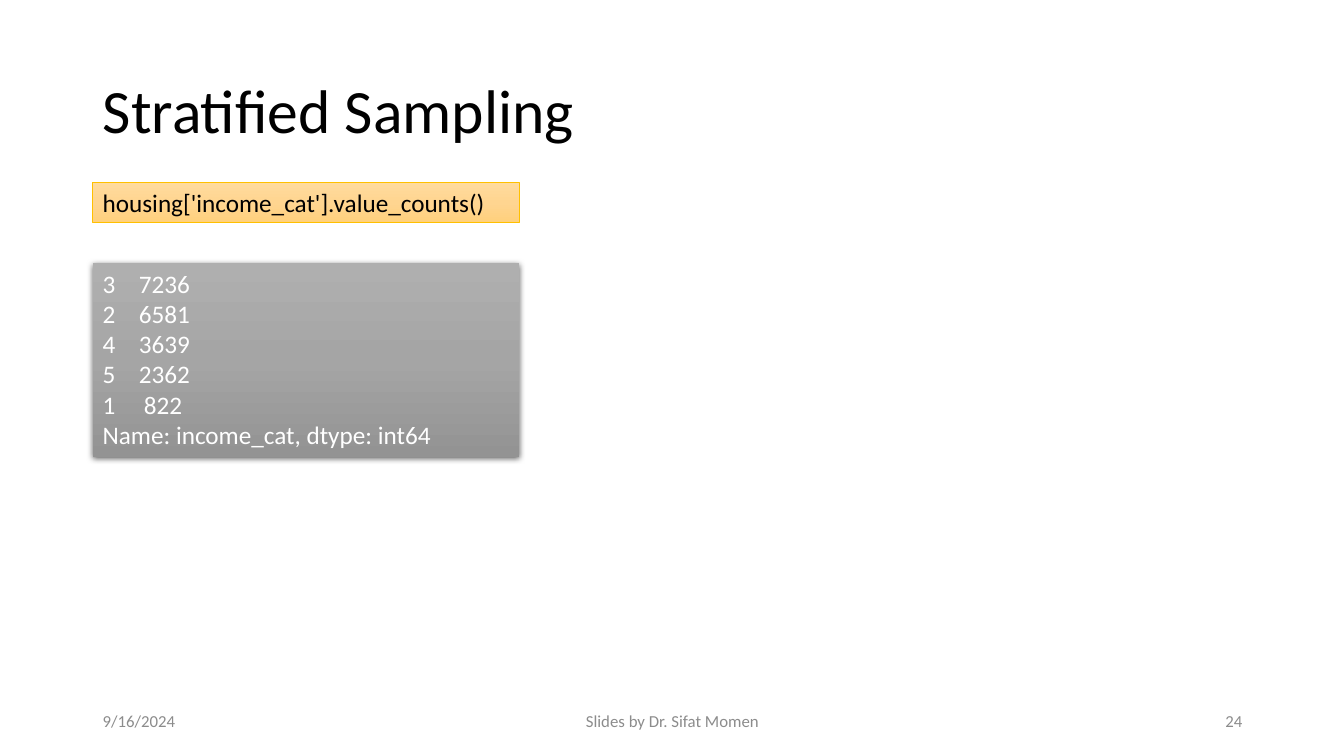
from lxml.etree import SubElement as Sub
from pptx import Presentation
from pptx.dml.color import RGBColor as RGB
from pptx.enum.shapes import MSO_SHAPE as Kind
from pptx.enum.text import MSO_ANCHOR as Anchor, MSO_AUTO_SIZE as Fit, PP_ALIGN as Align
from pptx.oxml.ns import qn
from pptx.util import Inches, Pt

BLACK = RGB(0x00, 0x00, 0x00)
WHITE = RGB(0xFF, 0xFF, 0xFF)
GRAY = RGB(0x8C, 0x8C, 0x8C)
GOLD = RGB(0xFF, 0xC0, 0x00)
SAND = [RGB(0xFF, 0xDB, 0x9E), RGB(0xFF, 0xD5, 0x90), RGB(0xFF, 0xD0, 0x7C)]
STEEL = [RGB(0xAF, 0xAF, 0xAF), RGB(0xA5, 0xA5, 0xA5), RGB(0x93, 0x93, 0x93)]

ROWS = [("3", "7236"), ("2", "6581"), ("4", "3639"), ("5", "2362"), ("1", "822")]


def style(item, form):
    for name, value in form.items():
        setattr(item, name, value)


def write(par, text, size, color, align=Align.LEFT):
    par.alignment = align
    run = par.add_run()
    run.text = text
    style(run.font, {"size": Pt(size), "name": "Calibri"})
    run.font.color.rgb = color


def shade(shape, tones):
    shape.fill.gradient()
    shape.fill.gradient_angle = 270
    stops = shape._element.spPr.find(".//" + qn("a:gsLst"))
    for stop in list(stops):
        stops.remove(stop)
    for i, tone in enumerate(tones):
        stop = Sub(stops, qn("a:gs"), pos=str(i * 50000))
        Sub(stop, qn("a:srgbClr"), val=str(tone))


def shadow(shape):
    effect = shape._element.spPr.find(qn("a:effectLst"))
    cast = Sub(effect, qn("a:outerShdw"), blurRad=str(Pt(4.5)),
               dist=str(Pt(1.5)), dir="5400000", algn="ctr", rotWithShape="0")
    tint = Sub(cast, qn("a:srgbClr"), val=str(BLACK))
    Sub(tint, qn("a:alpha"), val="63000")


def panel(slide, box, tones):
    shape = slide.shapes.add_shape(Kind.RECTANGLE, *map(Inches, box))
    shape.shadow.inherit = False
    shade(shape, tones)
    style(shape.text_frame, {"word_wrap": True, "vertical_anchor": Anchor.TOP,
                             "auto_size": Fit.SHAPE_TO_FIT_TEXT})
    return shape


def head(slide, box):
    title = slide.shapes.title
    style(title, dict(zip(("left", "top", "width", "height"), map(Inches, box))))
    frame = title.text_frame
    style(frame, {"vertical_anchor": Anchor.MIDDLE, "auto_size": Fit.NONE})
    par = frame.paragraphs[0]
    par.line_spacing = 0.9
    write(par, "Stratified Sampling", 44, BLACK)


def code(slide, box):
    shape = panel(slide, box, SAND)
    shape.line.color.rgb = GOLD
    shape.line.width = Pt(0.5)
    write(shape.text_frame.paragraphs[0], "housing['income_cat'].value_counts()", 18, BLACK)


def output(slide, box):
    shape = panel(slide, box, STEEL)
    shape.line.fill.background()
    shadow(shape)
    frame = shape.text_frame
    par = frame.paragraphs[0]
    for key, count in ROWS:
        write(par, f"{key}\t{count}", 18, WHITE)
        tabs = Sub(par._p.get_or_add_pPr(), qn("a:tabLst"))
        stop = Inches(0.36 if len(count) == 4 else 0.41)
        Sub(tabs, qn("a:tab"), pos=str(stop), algn="l")
        par = frame.add_paragraph()
    write(par, "Name: income_cat, dtype: int64", 18, WHITE)


def foot(slide, box):
    left, top, width, height = box
    side, mid = 3, 4.5
    parts = [("9/16/2024", left, side, Align.LEFT),
             ("Slides by Dr. Sifat Momen", left + (width - mid) / 2, mid, Align.CENTER),
             ("24", left + width - side, side, Align.RIGHT)]
    for text, x, wide, align in parts:
        label = slide.shapes.add_textbox(*map(Inches, (x, top, wide, height)))
        frame = label.text_frame
        style(frame, {"word_wrap": True, "vertical_anchor": Anchor.MIDDLE})
        write(frame.paragraphs[0], text, 12, GRAY, align)


def main():
    deck = Presentation()
    style(deck, {"slide_width": Inches(13.33), "slide_height": Inches(7.5)})
    slide = deck.slides.add_slide(deck.slide_layouts[5])
    left, width = 0.92, 11.5
    head(slide, (left, 0.4, width, 1.45))
    foot(slide, (left, 6.95, width, 0.4))
    code(slide, (left, 1.81, 4.23, 0.4))
    output(slide, (left, 2.61, 4.23, 1.92))
    deck.save("out.pptx")


if __name__ == "__main__":
    main()
